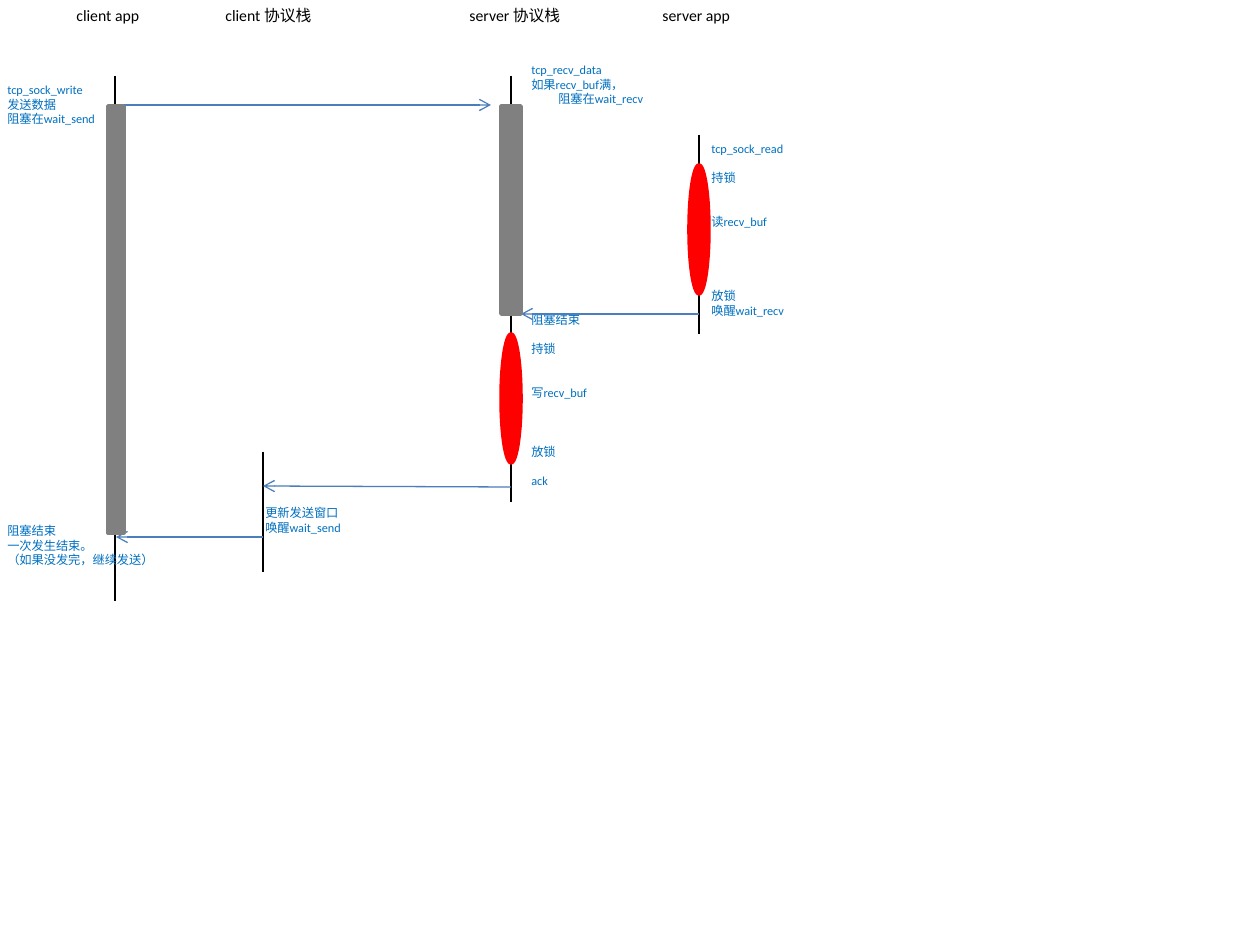
from lxml import etree
from pptx import Presentation
from pptx.dml.color import RGBColor
from pptx.enum.shapes import MSO_CONNECTOR as CONN, MSO_SHAPE as SHAPE
from pptx.enum.text import MSO_AUTO_SIZE as AUTO
from pptx.oxml.ns import qn
from pptx.util import Pt

PX_PER_INCH = 126
FONT = "Calibri"
LINE_PITCH = 8.4  # points per line of note text
COLORS = {"lifeline": "000000", "note": "0070C0", "message": "4B7EBC",
          "blocked": "808080", "locked": "FF0000"}

# Centre x of each participant's lifeline
CLIENT_APP, CLIENT_STACK, SERVER_STACK, SERVER_APP = 115, 263, 511, 699

HEADINGS = [("client app", 64, 90), ("client 协议栈", 213, 112),
            ("server 协议栈", 457, 117), ("server app", 650, 94)]
LIFELINES = [(CLIENT_APP, 76, 601), (CLIENT_STACK, 452, 572),
             (SERVER_STACK, 76, 502), (SERVER_APP, 135, 334)]
MESSAGES = [(116, 105, 491, 105), (SERVER_APP, 314, 521, 314),
            (SERVER_STACK, 487, CLIENT_STACK, 486),
            (CLIENT_STACK, 537, 116, 537)]
STATES = [(SHAPE.RECTANGLE, "blocked", 108, 106, 16, 427),
          (SHAPE.RECTANGLE, "blocked", 501, 106, 20, 208),
          (SHAPE.OVAL, "locked", 501, 334, 20, 129),
          (SHAPE.OVAL, "locked", 689, 165, 20, 129)]
# Box, then (text, empty lines above, left indent in px)
NOTES = [
    ((-5, 76, 174, 503), [
        ("tcp_sock_write", 0, 0), ("发送数据", 0, 0), ("阻塞在wait_send", 0, 0),
        ("阻塞结束", 27, 0), ("一次发生结束。", 0, 0),
        ("（如果没发完，继续发送）", 0, 0)]),
    ((699, 135, 99, 190), [
        ("tcp_sock_read", 0, 0), ("持锁", 1, 0), ("读recv_buf", 2, 0),
        ("放锁", 4, 0), ("唤醒wait_recv", 0, 0)]),
    ((519, 56, 141, 459), [
        ("tcp_recv_data", 0, 0), ("如果recv_buf满，", 0, 0),
        ("阻塞在wait_recv", 0, 27), ("阻塞结束", 14, 0), ("持锁", 1, 0),
        ("写recv_buf", 2, 0), ("放锁", 3, 0), ("ack", 1, 0)]),
    ((253, 499, 101, 43), [("更新发送窗口", 0, 0), ("唤醒wait_send", 0, 0)]),
]


def px(n):
    return round(n * 914400 / PX_PER_INCH)


def rgb(name):
    return RGBColor.from_string(COLORS[name])


def add_line(slide, x1, y1, x2, y2, color, arrow=False):
    c = slide.shapes.add_connector(CONN.STRAIGHT, px(x1), px(y1), px(x2), px(y2))
    c.line.color.rgb = rgb(color)
    c.line.width = Pt(0.75)
    if arrow:
        etree.SubElement(c.line._get_or_add_ln(), qn("a:tailEnd"), type="arrow")
    etree.SubElement(c._element.spPr, qn("a:effectLst"))


def add_state(slide, kind, color, x, y, w, h):
    sp = slide.shapes.add_shape(kind, px(x), px(y), px(w), px(h))
    sp.shadow.inherit = False
    sp.fill.solid()
    sp.fill.fore_color.rgb = rgb(color)
    sp.line.color.rgb = rgb(color)
    sp.line.width = Pt(2)


def add_text(slide, box, paragraphs, size, color):
    tf = slide.shapes.add_textbox(*map(px, box)).text_frame
    tf.word_wrap = True
    tf.auto_size = AUTO.SHAPE_TO_FIT_TEXT
    for i, (text, gap, indent) in enumerate(paragraphs):
        p = tf.add_paragraph() if i else tf.paragraphs[0]
        p.text = text
        if gap:
            p.space_before = Pt(gap * LINE_PITCH)
        if indent:
            p._p.get_or_add_pPr().set("marL", str(px(indent)))
        font = p.runs[0].font
        font.name, font.size = FONT, Pt(size)
        font.color.rgb = rgb(color)


def main():
    prs = Presentation()
    prs.slide_width, prs.slide_height = px(1260), px(945)
    s = prs.slides.add_slide(prs.slide_layouts[6])
    for x, top, bottom in LIFELINES:
        add_line(s, x, top, x, bottom, "lifeline")
    for text, x, w in HEADINGS:
        add_text(s, (x, 0, w, 32), [(text, 0, 0)], 9, "lifeline")
    for box, paragraphs in NOTES:
        add_text(s, box, paragraphs, 7, "note")
    for message in MESSAGES:
        add_line(s, *message, "message", arrow=True)
    for state in STATES:
        add_state(s, *state)
    prs.save("out.pptx")


if __name__ == "__main__":
    main()
